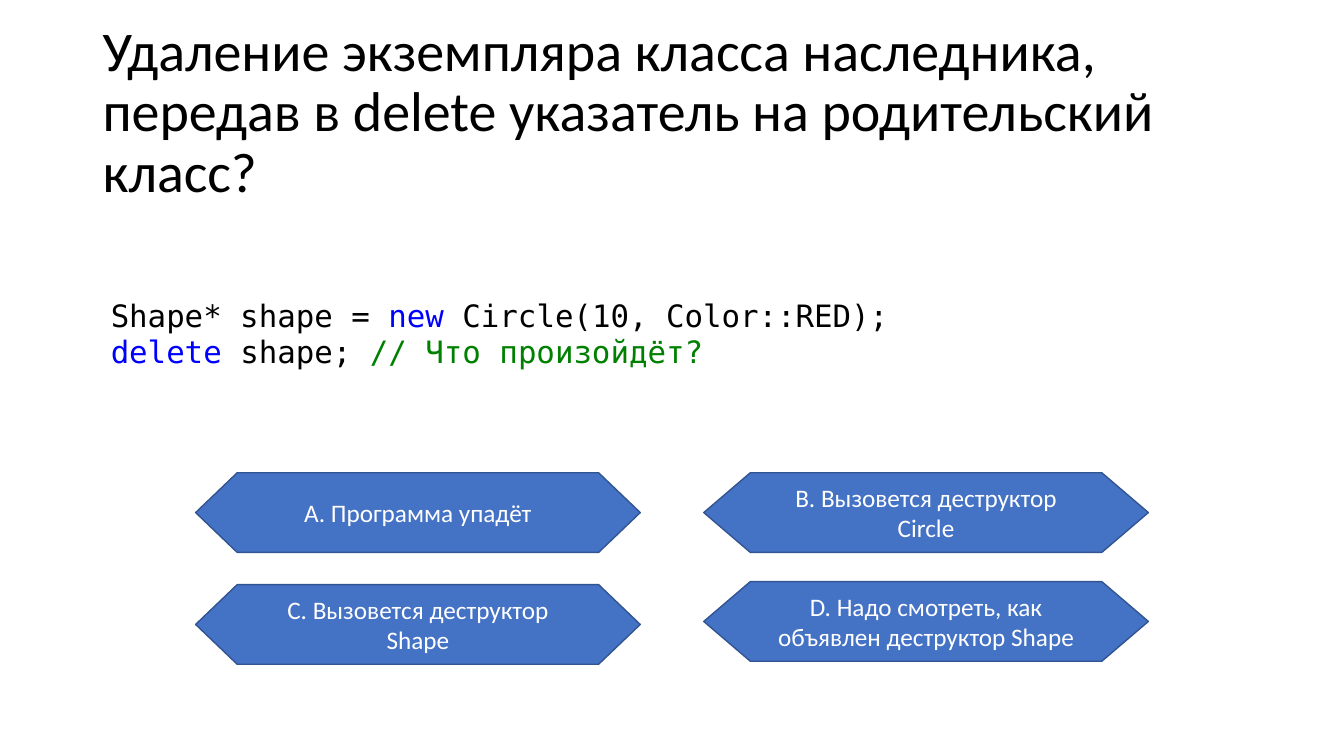
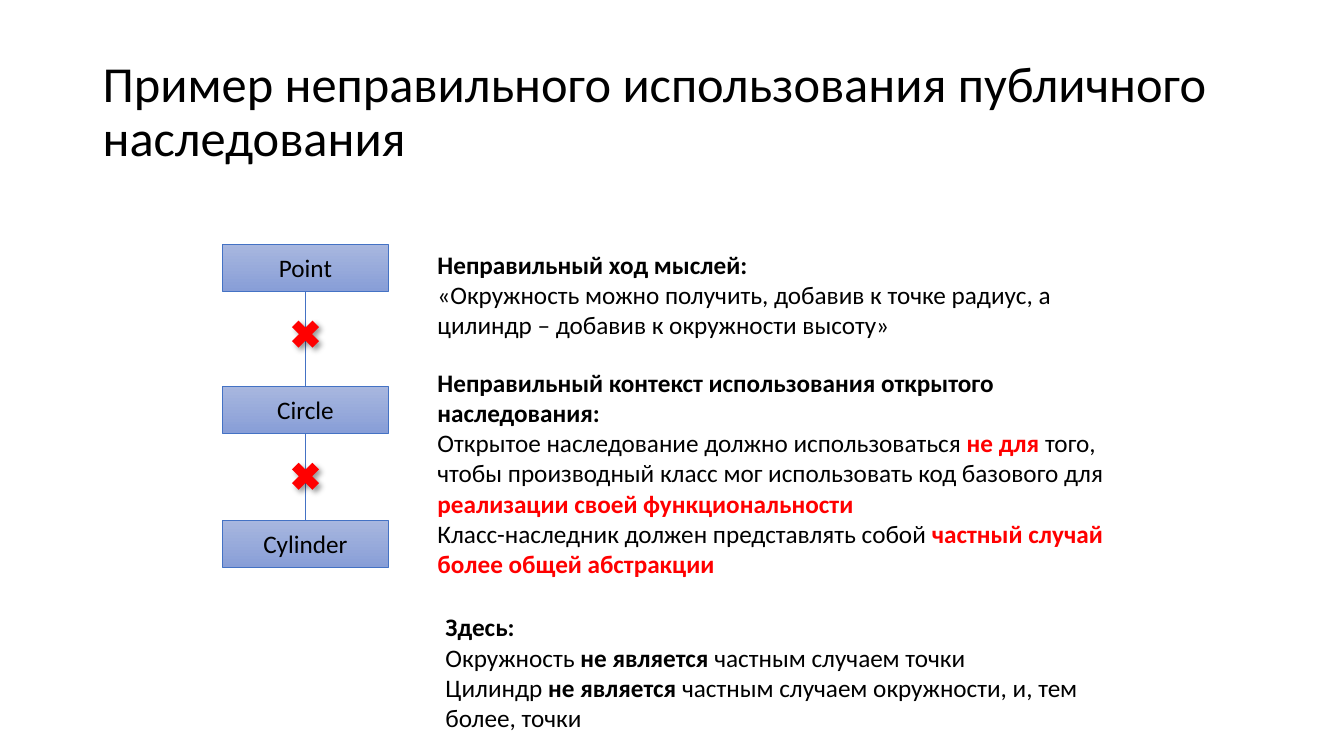
"""Build two slides on deleting through a base pointer and on misused public inheritance."""
from lxml import etree
from pptx import Presentation, util as u
from pptx.dml.color import RGBColor
from pptx.enum import shapes, text
from pptx.oxml.ns import qn

THEME = {
    "colours": {"ink": "000000", "keyword": "0000FF", "comment": "008000", "alert": "FF0000",
                "accent": "4472C4", "edge": "325491", "light": "FFFFFF",
                "class_top": "A8B7DF", "class_bottom": "889ED7"},
    "sizes": {"quiz_title": 40, "title": 36, "code": 22, "body": 18},
    "fonts": {"body": "Calibri", "code": "DejaVu Sans Mono"},
}
STYLES = {
    "plain": {"colour": "ink", "bold": False},
    "strong": {"colour": "ink", "bold": True},
    "alert": {"colour": "alert", "bold": True},
    "keyword": {"colour": "keyword", "bold": False},
    "comment": {"colour": "comment", "bold": False},
    "light": {"colour": "light", "bold": False},
}
TITLE_BOX = (0.92, 0.4, 11.5, 1.45)

QUIZ_TITLE = "Удаление экземпляра класса наследника, передав в delete указатель на родительский класс?"
CODE_BOX = (1, 2.89, 8.82, 0.84)
CODE = [
    [("Shape* shape = ", "plain"), ("new", "keyword"), (" Circle(10, Color::RED);", "plain")],
    [("delete ", "keyword"), ("shape; ", "plain"), ("// Что произойдёт?", "comment")],
]
ANSWER_COLUMNS = [
    {"left": 1.94, "tops": (4.69, 5.8), "point": 0.522,
     "answers": ("А. Программа упадёт", "C. Вызовется деструктор Shape")},
    {"left": 6.98, "tops": (4.69, 5.77), "point": 0.584,
     "answers": ("B. Вызовется деструктор Circle", "D. Надо смотреть, как объявлен деструктор Shape")},
]
ANSWER_SIZE = (4.41, 0.79)

MISUSE_TITLE = "Пример неправильного использования публичного наследования"
CLASSES = [("Point", 2.42), ("Circle", 3.83), ("Cylinder", 5.16)]
CLASS_LEFT, CLASS_WIDTH, CLASS_HEIGHT = 2.21, 1.64, 0.47
CROSS_SIZE, CROSS_DROP = 0.39, 0.7
NOTES = [
    ((4.24, 2.42, 6.88, 1.01), [
        [("Неправильный ход мыслей:", "strong")],
        [("«Окружность можно получить, добавив к точке радиус, "
          "а цилиндр – добавив к окружности высоту»", "plain")],
    ]),
    ((4.24, 3.59, 7.19, 2.22), [
        [("Неправильный контекст использования открытого наследования:", "strong")],
        [("Открытое наследование должно использоваться ", "plain"), ("не для ", "alert"),
         ("того, чтобы производный класс мог использовать код базового для ", "plain"),
         ("реализации своей функциональности", "alert")],
        [("Класс-наследник должен представлять собой ", "plain"),
         ("частный случай более общей абстракции", "alert")],
    ]),
    ((4.32, 6.02, 6.88, 1.31), [
        [("Здесь:", "strong")],
        [("Окружность ", "plain"), ("не является ", "strong"), ("частным случаем точки", "plain")],
        [("Цилиндр ", "plain"), ("не является", "strong"),
         (" частным случаем окружности, и, тем более, точки", "plain")],
    ]),
]


def colour(name):
    return RGBColor.from_string(THEME["colours"][name])


def inches(box):
    return [u.Inches(length) for length in box]


def write(frame, paragraphs, size="body", font="body", **paragraph_format):
    frame.word_wrap = True
    for index, pieces in enumerate(paragraphs):
        paragraph = frame.paragraphs[0] if index == 0 else frame.add_paragraph()
        for name, value in paragraph_format.items():
            setattr(paragraph, name, value)
        for words, style in pieces:
            run = paragraph.add_run()
            run.text = words
            values = {"name": THEME["fonts"][font], "size": u.Pt(THEME["sizes"][size]),
                      "bold": STYLES[style]["bold"]}
            for name, value in values.items():
                setattr(run.font, name, value)
            run.font.color.rgb = colour(STYLES[style]["colour"])


def add_text(slide, box, paragraphs, **options):
    frame = slide.shapes.add_textbox(*inches(box)).text_frame
    write(frame, paragraphs, **options)
    return frame


def add_title(slide, title, size):
    frame = add_text(slide, TITLE_BOX, [[(title, "plain")]], size=size, line_spacing=0.9)
    frame.vertical_anchor = text.MSO_ANCHOR.MIDDLE


def set_line(line, name, width):
    line.color.rgb = colour(name)
    line.width = u.Pt(width)


def add_flat(slide, kind, box, fill=None):
    part = slide.shapes.add_shape(kind, *inches(box))
    part.shadow.inherit = False
    if fill:
        part.fill.solid()
        part.fill.fore_color.rgb = colour(fill)
    return part


def add_label(part, words, style):
    part.text_frame.vertical_anchor = text.MSO_ANCHOR.MIDDLE
    write(part.text_frame, [[(words, style)]], alignment=text.PP_ALIGN.CENTER)


def add_answer(slide, box, point, words):
    answer = add_flat(slide, shapes.MSO_SHAPE.HEXAGON, box, "accent")
    answer.adjustments[0] = point
    set_line(answer.line, "edge", 1)
    add_label(answer, words, "light")


def add_class(slide, name, top):
    box = (CLASS_LEFT, top, CLASS_WIDTH, CLASS_HEIGHT)
    class_box = add_flat(slide, shapes.MSO_SHAPE.RECTANGLE, box)
    class_box.fill.gradient()
    class_box.fill.gradient_angle = 270
    for stop, shade in zip(class_box.fill.gradient_stops, ("class_top", "class_bottom")):
        stop.color.rgb = colour(shade)
    set_line(class_box.line, "accent", 0.5)
    add_label(class_box, name, "plain")
    return class_box


def add_link(slide, parent, child):
    link = slide.shapes.add_connector(shapes.MSO_CONNECTOR.STRAIGHT, 0, 0, 0, 0)
    link.begin_connect(parent, 2)
    link.end_connect(child, 0)
    set_line(link.line, "accent", 0.5)
    etree.SubElement(link._element.spPr, qn("a:effectLst"))


def add_cross(slide, top):
    left = CLASS_LEFT + (CLASS_WIDTH - CROSS_SIZE) / 2
    cross = add_flat(slide, shapes.MSO_SHAPE.MATH_MULTIPLY, (left, top, CROSS_SIZE, CROSS_SIZE), "alert")
    cross.line.fill.background()
    effects = cross._element.spPr.find(qn("a:effectLst"))
    shadow = etree.SubElement(effects, qn("a:outerShdw"), blurRad=str(u.Pt(4)), dist=str(u.Pt(3)),
                              dir=str(45 * 60000), algn="tl", rotWithShape="0")
    shade = etree.SubElement(shadow, qn("a:srgbClr"), val=THEME["colours"]["ink"])
    etree.SubElement(shade, qn("a:alpha"), val="40000")


def build_quiz(slide):
    add_title(slide, QUIZ_TITLE, "quiz_title")
    add_text(slide, CODE_BOX, CODE, size="code", font="code")
    for column in ANSWER_COLUMNS:
        for top, words in zip(column["tops"], column["answers"]):
            add_answer(slide, (column["left"], top, *ANSWER_SIZE), column["point"], words)


def build_misuse(slide):
    add_title(slide, MISUSE_TITLE, "title")
    class_boxes = [add_class(slide, name, top) for name, top in CLASSES]
    for parent, child in zip(class_boxes, class_boxes[1:]):
        add_link(slide, parent, child)
    for _, top in CLASSES[:-1]:
        add_cross(slide, top + CROSS_DROP)
    for box, paragraphs in NOTES:
        add_text(slide, box, paragraphs)


def main():
    deck = Presentation()
    deck.slide_width, deck.slide_height = inches((13.33, 7.5))
    for build in (build_quiz, build_misuse):
        build(deck.slides.add_slide(deck.slide_layouts[6]))
    deck.save("out.pptx")


if __name__ == "__main__":
    main()
